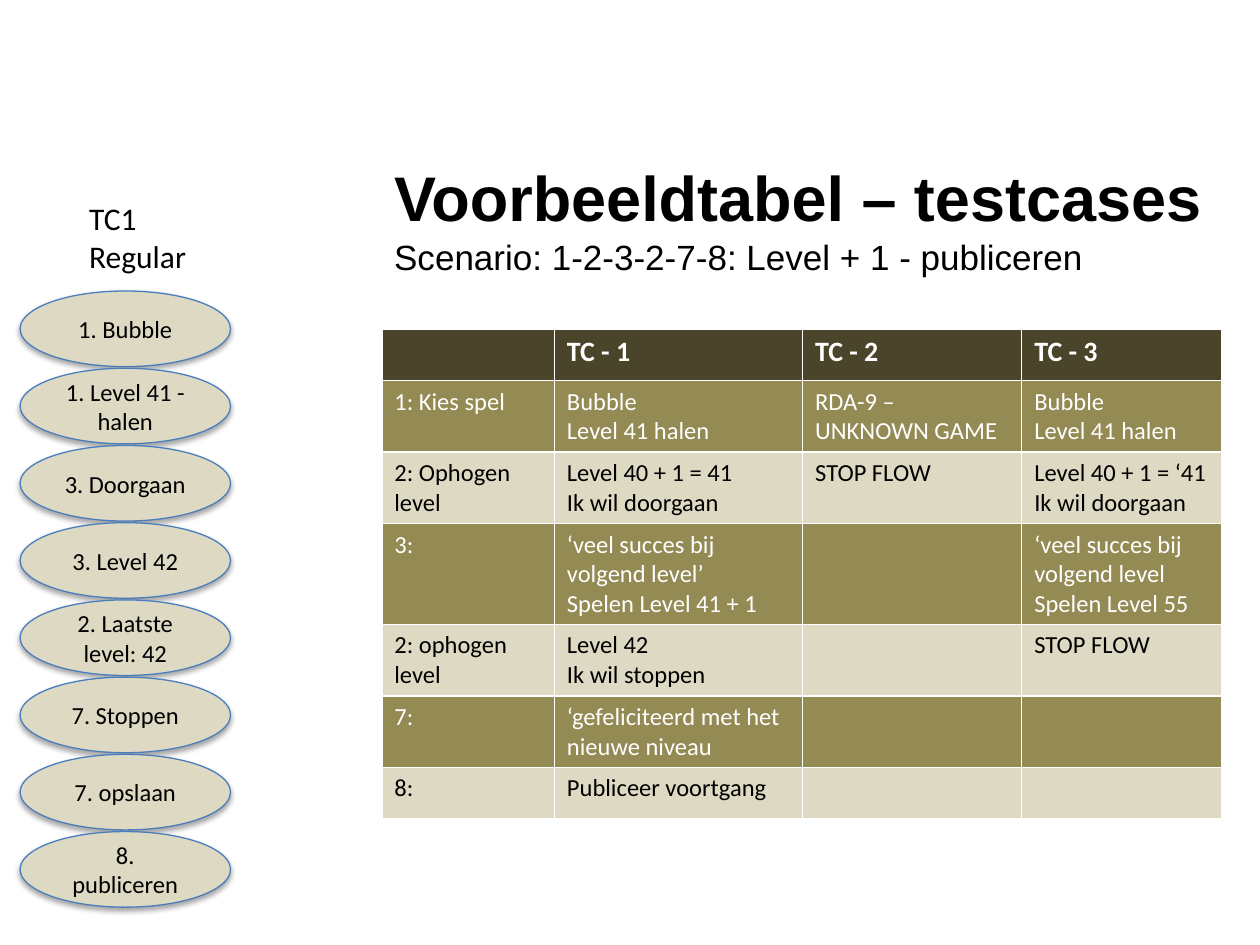
import pptx
import pptx.util
import pptx.dml.color
import pptx.enum.shapes
import pptx.enum.text
import pptx.oxml
import pptx.oxml.ns

Inches = pptx.util.Inches
ANCHOR = pptx.enum.text.MSO_ANCHOR
ALIGN = pptx.enum.text.PP_ALIGN

BLACK, WHITE = "000000", "FFFFFF"
DARK, OLIVE, SAND, BLUE = "4A452A", "948A54", "DDD9C3", "4B7EBC"

STEPS = [
    "1. Bubble", "1. Level 41 - halen", "3. Doorgaan", "3. Level 42",
    "2. Laatste level: 42", "7. Stoppen", "7. opslaan", "8. publiceren",
]
COLUMN_WIDTHS = [1.37, 1.97, 1.74, 1.59]
CASES = [
    ["", "TC - 1", "TC - 2", "TC - 3"],
    ["1: Kies spel", "Bubble\nLevel 41 halen", "RDA-9 – UNKNOWN GAME", "Bubble\nLevel 41 halen"],
    ["2: Ophogen level", "Level 40 + 1 = 41\nIk wil doorgaan", "STOP FLOW",
     "Level 40 + 1 = ‘41\nIk wil doorgaan"],
    ["3:", "‘veel succes bij volgend level’\nSpelen Level 41 + 1", "",
     "‘veel succes bij volgend level\nSpelen Level 55"],
    ["2: ophogen level", "Level 42\nIk wil stoppen", "", "STOP FLOW"],
    ["7:", "‘gefeliciteerd met het nieuwe niveau", "", ""],
    ["8:", "Publiceer voortgang", "", ""],
]


def rgb(color):
    return pptx.dml.color.RGBColor.from_string(color)


def write(tf, text, size, font, color=BLACK, bold=False, align=None):
    tf.text = text
    for p in tf.paragraphs:
        p.font.size = pptx.util.Pt(size)
        p.font.name = font
        p.font.bold = bold
        p.font.color.rgb = rgb(color)
        if align is not None:
            p.alignment = align


def add_text(s, box, text, size, font, bold=False, anchor=ANCHOR.TOP, wrap=True):
    tf = s.shapes.add_textbox(*map(Inches, box)).text_frame
    tf.word_wrap = wrap
    tf.vertical_anchor = anchor
    write(tf, text, size, font, bold=bold)
    return tf


def add_shadow(sp):
    sp.shadow.inherit = False
    effects = sp._element.spPr.find(pptx.oxml.ns.qn("a:effectLst"))
    effects.append(pptx.oxml.parse_xml(
        f'<a:outerShdw {pptx.oxml.ns.nsdecls("a")} blurRad="40000" dist="23000" '
        'dir="5400000" rotWithShape="0"><a:srgbClr val="000000">'
        '<a:alpha val="35000"/></a:srgbClr></a:outerShdw>'))


def add_heading(s, left, top, width):
    add_text(s, (left, top, width, 0.71), "Voorbeeldtabel – testcases", 36, "Arial",
             bold=True, anchor=ANCHOR.MIDDLE)
    tf = add_text(s, (left, top + 0.62, width, 0.43),
                  "Scenario: 1-2-3-2-7-8: Level + 1 - publiceren", 20, "Arial")
    tf.paragraphs[0].space_before = pptx.util.Pt(4)


def add_case_table(s, left, top, width):
    row_height = 0.41
    table = s.shapes.add_table(
        len(CASES), len(COLUMN_WIDTHS), Inches(left), Inches(top),
        Inches(width), Inches(row_height * len(CASES))).table
    for column, column_width in zip(table.columns, COLUMN_WIDTHS):
        column.width = Inches(column_width)
    for i, texts in enumerate(CASES):
        table.rows[i].height = Inches(row_height)
        header = i == 0
        fill = DARK if header else OLIVE if i % 2 else SAND
        color = BLACK if fill == SAND else WHITE
        for j, text in enumerate(texts):
            cell = table.cell(i, j)
            cell.fill.solid()
            cell.fill.fore_color.rgb = rgb(fill)
            write(cell.text_frame, text, 16 if header else 14, "Calibri", color, bold=header)


def add_flow(s, left, top, width, height):
    add_text(s, (left + 0.45, top - 0.78, 0.98, 0.71), "TC1\nRegular", 18, "Calibri", wrap=False)
    step_height = 0.6
    pitch = (height - step_height) / (len(STEPS) - 1)
    for i, text in enumerate(STEPS):
        sp = s.shapes.add_shape(
            pptx.enum.shapes.MSO_SHAPE.OVAL, Inches(left), Inches(top + i * pitch),
            Inches(width), Inches(step_height))
        sp.fill.solid()
        sp.fill.fore_color.rgb = rgb(SAND)
        sp.line.color.rgb = rgb(BLUE)
        sp.line.width = pptx.util.Pt(0.75)
        add_shadow(sp)
        sp.text_frame.word_wrap = True
        sp.text_frame.vertical_anchor = ANCHOR.MIDDLE
        write(sp.text_frame, text, 14, "Calibri", align=ALIGN.CENTER)


def main():
    prs = pptx.Presentation()
    prs.slide_width, prs.slide_height = Inches(10), Inches(7.5)
    s = prs.slides.add_slide(prs.slide_layouts[6])
    add_heading(s, 3.03, 1.2, 6.67)
    add_case_table(s, 3.03, 2.61, 6.67)
    add_flow(s, 0.16, 2.31, 1.67, 4.89)
    prs.save("out.pptx")


if __name__ == "__main__":
    main()
